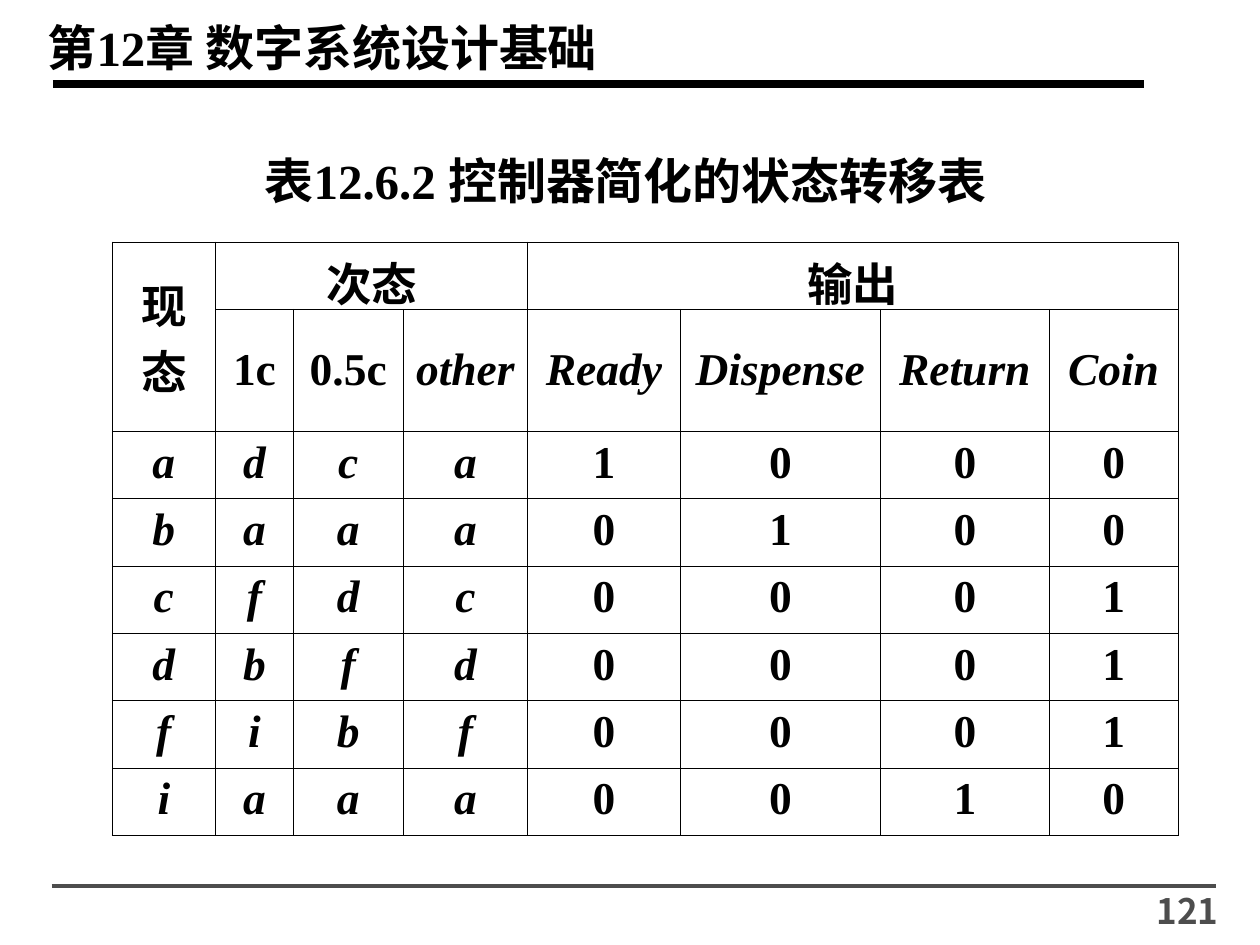
import pptx
import pptx.util
import pptx.dml.color
import pptx.enum.shapes
import pptx.enum.text
import pptx.oxml.ns
from lxml import etree

INK = {"text": "000000", "foot": "4D4D4D"}
SERIF, SANS = "Times New Roman", "Noto Sans CJK SC"
ALIGN = pptx.enum.text.PP_ALIGN
MID = pptx.enum.text.MSO_ANCHOR.MIDDLE

TALL = 4.71
COLS = [0.82, 0.62, 0.87, 0.99, 1.21, 1.59, 1.34, 1.02]
TOPS = [0.53, 0.97]
ROWS = TOPS + [(TALL - sum(TOPS)) / 6] * 6
HEAD = [
    ["现态", "次态", "", "", "输出", "", "", ""],
    ["", "1c", "0.5c", "other", "Ready", "Dispense", "Return", "Coin"],
]
STATES = ["adca1000", "baaa0100", "cfdc0001", "dbfd0001", "fibf0001", "iaaa0010"]
SPANS = [((0, 0), (1, 0)), ((0, 1), (0, 3)), ((0, 4), (0, 7))]


def inch(*sizes):
    return [pptx.util.Inches(size) for size in sizes]


def color(name):
    return pptx.dml.color.RGBColor.from_string(INK[name])


def write(frame, text, size, align, face=SERIF, ink="text", slant=False):
    frame.text = text
    para = frame.paragraphs[0]
    para.alignment = align
    for run in para.runs:
        font = run.font
        font.name, font.size = face, pptx.util.Pt(size)
        font.bold, font.italic = True, slant
        font.color.rgb = color(ink)


def label(slide, box, text, size, align, **look):
    frame = slide.shapes.add_textbox(*inch(*box)).text_frame
    frame.word_wrap = True
    write(frame, text, size, align, **look)


def caption(slide, box, text):
    title = slide.shapes.title
    title.left, title.top, title.width, title.height = inch(*box)
    frame = title.text_frame
    frame.word_wrap = False
    frame.auto_size = pptx.enum.text.MSO_AUTO_SIZE.NONE
    frame.vertical_anchor = MID
    write(frame, text, 28, ALIGN.CENTER)


def rule(slide, left, right, top, width, ink):
    kind = pptx.enum.shapes.MSO_CONNECTOR.STRAIGHT
    line = slide.shapes.add_connector(kind, *inch(left, top, right, top))
    line.line.color.rgb = color(ink)
    line.line.width = pptx.util.Pt(width)
    etree.SubElement(line._element.spPr, pptx.oxml.ns.qn("a:effectLst"))


def border(cell, width=0.45):
    """Draw a thin line on all four sides of the cell."""
    qn = pptx.oxml.ns.qn
    props = cell._tc.get_or_add_tcPr()
    for side in ("a:lnL", "a:lnR", "a:lnT", "a:lnB"):
        line = etree.SubElement(props, qn(side), w=str(pptx.util.Pt(width)))
        fill = etree.SubElement(line, qn("a:solidFill"))
        etree.SubElement(fill, qn("a:srgbClr"), val=INK["text"])


def grid(slide, left, top):
    data = HEAD + [list(row) for row in STATES]
    box = inch(left, top, sum(COLS), TALL)
    table = slide.shapes.add_table(len(ROWS), len(COLS), *box).table
    table.first_row = table.horz_banding = False
    for col, width in zip(table.columns, inch(*COLS)):
        col.width = width
    for row, height in zip(table.rows, inch(*ROWS)):
        row.height = height
    for start, end in SPANS:
        table.cell(*start).merge(table.cell(*end))
    for r, row in enumerate(data):
        for c, text in enumerate(row):
            cell = table.cell(r, c)
            border(cell)
            cell.fill.background()
            if r == 1 or (r, c) == (0, 0):
                cell.vertical_anchor = MID
            if text:
                slant = text.isascii() and text.isalpha()
                write(cell.text_frame, text, 26, ALIGN.CENTER, slant=slant)


def main():
    deck = pptx.Presentation()
    deck.slide_width, deck.slide_height = inch(10, 7.5)
    slide = deck.slides.add_slide(deck.slide_layouts[5])
    label(slide, (0.28, 0.09, 6.24, 0.57), "第12章 数字系统设计基础", 28, ALIGN.LEFT)
    rule(slide, 0.42, 9.08, 0.67, 4.5, "text")
    rule(slide, 0.41, 9.65, 7.03, 2, "foot")
    caption(slide, (1.76, 1.14, 6.41, 0.57), "表12.6.2 控制器简化的状态转移表")
    grid(slide, 0.89, 1.92)
    label(slide, (8.38, 7.01, 1.39, 0.39), "121", 20, ALIGN.RIGHT,
          face=SANS, ink="foot")
    deck.save("out.pptx")


if __name__ == "__main__":
    main()
